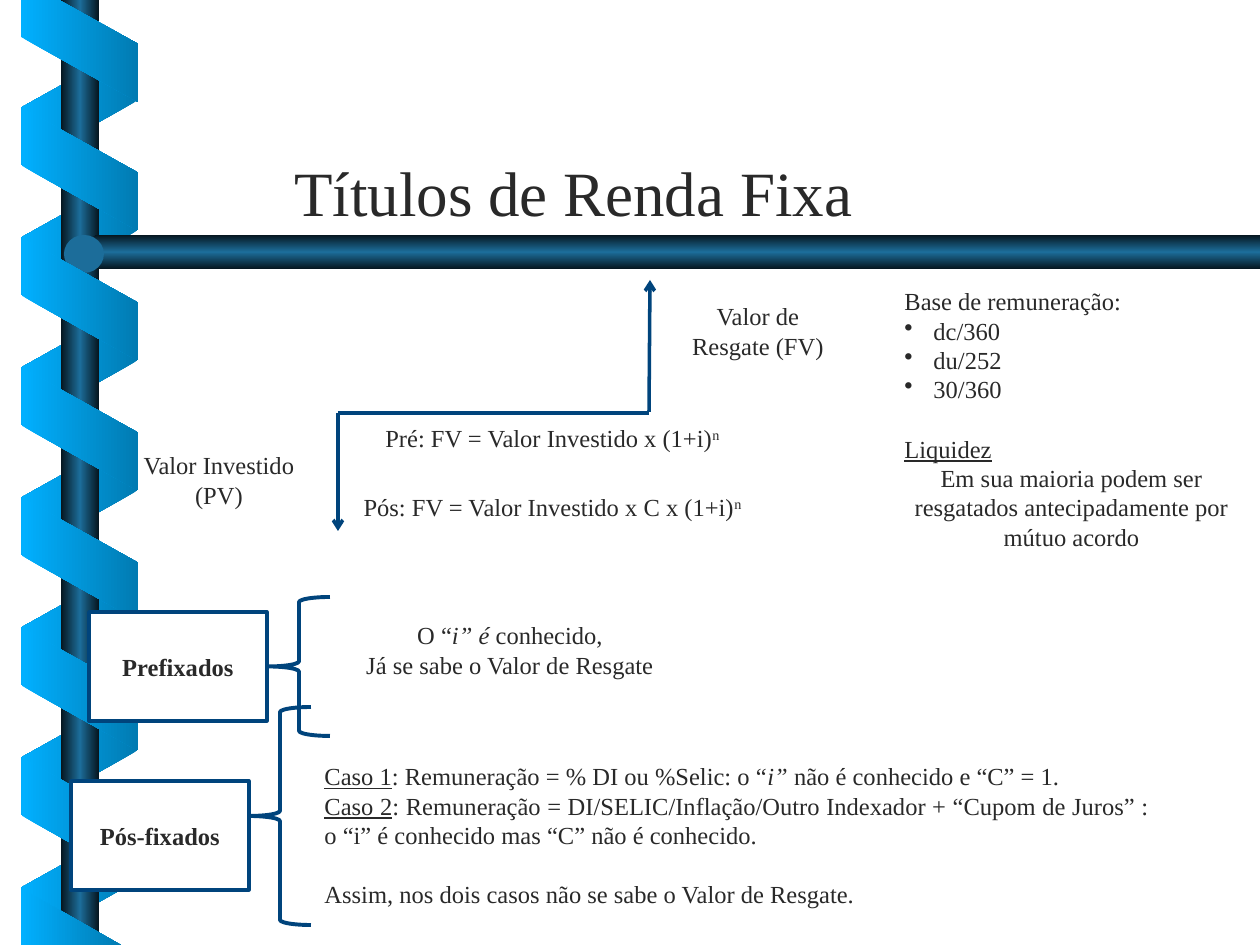
from copy import deepcopy
from dataclasses import dataclass

from lxml import etree
from pptx import Presentation, util as u
from pptx.dml.color import RGBColor
from pptx.enum import shapes, text
from pptx.oxml.ns import qn

SHAPE, ALIGN = shapes.MSO_SHAPE, text.PP_ALIGN
LEFT, MID, JUST = ALIGN.LEFT, ALIGN.CENTER, ALIGN.JUSTIFY


@dataclass(frozen=True)
class Theme:
    ink: str = "292929"
    line: str = "00447C"
    paper: str = "FFFFFF"
    knob: str = "1C6D9A"
    front: tuple = ("01B0FF", "017BB2")
    back: tuple = ("017BB2", "01B0FF")
    pole: tuple = ("06161F", "1C6D9A", "06161F")
    font: str = "Times New Roman"
    body: int = 14
    head: int = 36


def px(n):
    return u.Emu(round(n * 914400 / 126))


def rgb(code):
    return RGBColor.from_string(code)


class Deck:
    def __init__(self, theme):
        self.theme = theme
        self.prs = Presentation()
        self.prs.slide_width, self.prs.slide_height = px(1260), px(945)
        self.slide = self.prs.slides.add_slide(self.prs.slide_layouts[6])

    def paint(self, shape, fill=None, line=0, angle=0):
        """Fill with one colour, a gradient (tuple) or nothing."""
        shape.shadow.inherit = False
        if fill is None:
            shape.fill.background()
        elif isinstance(fill, tuple):
            self.blend(shape, fill, angle)
        else:
            shape.fill.solid()
            shape.fill.fore_color.rgb = rgb(fill)
        if line:
            shape.line.color.rgb = rgb(self.theme.line)
            shape.line.width = u.Pt(line)
        else:
            shape.line.fill.background()

    def blend(self, shape, codes, angle):
        shape.fill.gradient()
        shape.fill.gradient_angle = angle
        grad = shape._element.spPr.find(qn("a:gradFill"))
        grad.set("rotWithShape", "0")
        stops = grad.find(qn("a:gsLst"))
        while len(stops) < len(codes):
            stops.append(deepcopy(stops[0]))
        for i, (stop, code) in enumerate(zip(shape.fill.gradient_stops, codes)):
            stop.color.rgb = rgb(code)
            stop.position = i / (len(codes) - 1)

    def shape(self, kind, box, fill=None, line=0, angle=0):
        item = self.slide.shapes.add_shape(kind, *map(px, box))
        self.paint(item, fill, line, angle)
        return item

    def strip(self, top, fill, turn, flip=False):
        item = self.shape(SHAPE.PARALLELOGRAM, (18, top, 123, 116), fill)
        item.adjustments[0] = 0.56
        item.rotation = turn
        if flip:
            item._element.spPr.find(qn("a:xfrm")).set("flipH", "1")

    def free(self, points, fill, angle=0):
        pen = self.slide.shapes.build_freeform(*points[0], scale=px(1))
        pen.add_line_segments(points[1:], close=True)
        self.paint(pen.convert_to_shape(), fill, angle=angle)

    def line(self, start, end, arrow=False):
        item = self.slide.shapes.add_connector(
            shapes.MSO_CONNECTOR.STRAIGHT, *map(px, start + end))
        item.line.color.rgb = rgb(self.theme.line)
        item.line.width = u.Pt(2)
        if arrow:
            etree.SubElement(item.line._get_or_add_ln(), qn("a:tailEnd"), type="arrow")
        etree.SubElement(item._element.spPr, qn("a:effectLst"))

    def words(self, frame, paras, align=MID, size=None, bold=None):
        """Each paragraph is a string, or a list of (words, style) runs."""
        frame.word_wrap = True
        for i, runs in enumerate(paras):
            para = frame.paragraphs[0] if i == 0 else frame.add_paragraph()
            para.alignment = align
            font = para.font
            font.name, font.size = self.theme.font, u.Pt(size or self.theme.body)
            font.color.rgb, font.bold = rgb(self.theme.ink), bold
            for part, style in [(runs, "")] if isinstance(runs, str) else runs:
                run = para.add_run()
                run.text = part
                if style == "i":
                    run.font.italic = True
                elif style == "u":
                    run.font.underline = True
                elif style == "sup":
                    run.font._element.set("baseline", "30000")

    def text(self, box, paras, align=MID, size=None, middle=False):
        frame = self.slide.shapes.add_textbox(*map(px, box)).text_frame
        if middle:
            frame.vertical_anchor = text.MSO_ANCHOR.MIDDLE
        self.words(frame, paras, align, size)
        return frame.paragraphs

    def label(self, box, name):
        item = self.shape(SHAPE.RECTANGLE, box, self.theme.paper, 2)
        item.text_frame.vertical_anchor = text.MSO_ANCHOR.MIDDLE
        self.words(item.text_frame, [name], bold=True)

    def bullet(self, para):
        props = para._p.get_or_add_pPr()
        props.set("marL", str(px(29)))
        props.set("indent", str(px(-29)))
        props.insert(0, etree.Element(qn("a:buChar"), char="•"))


def main():
    theme = Theme()
    deck = Deck(theme)

    # Ribbon wound round the pole, and the bar under the title
    for i in range(7):
        deck.strip(46 + 130 * i, theme.back, 270, flip=True)
    deck.shape(SHAPE.RECTANGLE, (61, 0, 38, 945), theme.pole)
    deck.free([(1260, 235), (96, 235), (76, 252), (96, 269), (1260, 269)],
              theme.pole, angle=270)
    deck.shape(SHAPE.OVAL, (64, 235, 40, 38), theme.knob)
    for i in range(6):
        deck.strip(111 + 130 * i, theme.front, 90)
    deck.free([(21, 0), (21, 37), (138, 102), (138, 44), (59, 0)], theme.front)
    deck.free([(121, 945), (21, 888), (21, 945)], theme.front)

    # Title
    deck.text((282, 165, 776, 53), ["Títulos de Renda Fixa"], LEFT, theme.head, True)

    # Cash flow
    deck.line((338, 413), (649, 413))
    deck.line((338, 413), (338, 531), arrow=True)
    deck.line((649, 412), (650, 280), arrow=True)
    deck.text((130, 444, 178, 72), ["Valor Investido (PV)"])
    deck.text((669, 295, 178, 72), ["Valor de Resgate (FV)"])
    for top, sum_up in ((417, "Pré: FV = Valor Investido x (1+i)"),
                        (486, "Pós: FV = Valor Investido x C x (1+i)")):
        deck.text((276, top, 553, 43), [[(sum_up, ""), ("n", "sup")]])

    # Day count and liquidity
    notes = deck.text((892, 280, 359, 277), [
        "Base de remuneração:", "dc/360", "du/252", "30/360",
        [("Liquidez", "u")],
        "Em sua maioria podem ser resgatados antecipadamente por mútuo acordo",
    ], JUST)
    for para in notes[1:4]:
        deck.bullet(para)
    notes[4].space_before = u.Pt(17)
    notes[5].alignment = MID

    # Fixed and floating rates
    deck.label((89, 612, 178, 109), "Prefixados")
    deck.label((71, 781, 178, 109), "Pós-fixados")
    for box in ((268, 597, 62, 139), (249, 707, 62, 218)):
        deck.shape(SHAPE.LEFT_BRACE, box, line=2.25)
    deck.text((305, 614, 410, 72), [
        [("O “", ""), ("i” é ", "i"), ("conhecido,", "")],
        "Já se sabe o Valor de Resgate",
    ])
    cases = deck.text((312, 755, 850, 160), [
        [("Caso 1", "u"), (": Remuneração = % DI ou %Selic: o “", ""),
         ("i” ", "i"), ("não é conhecido e “C” = 1.", "")],
        [("Caso 2", "u"),
         (": Remuneração = DI/SELIC/Inflação/Outro Indexador + “Cupom de Juros”"
          " : o “i” é conhecido mas “C” não é conhecido.", "")],
        "Assim, nos dois casos não se sabe o Valor de Resgate.",
    ], JUST)
    cases[2].space_before = u.Pt(17)

    deck.prs.save("out.pptx")


if __name__ == "__main__":
    main()
